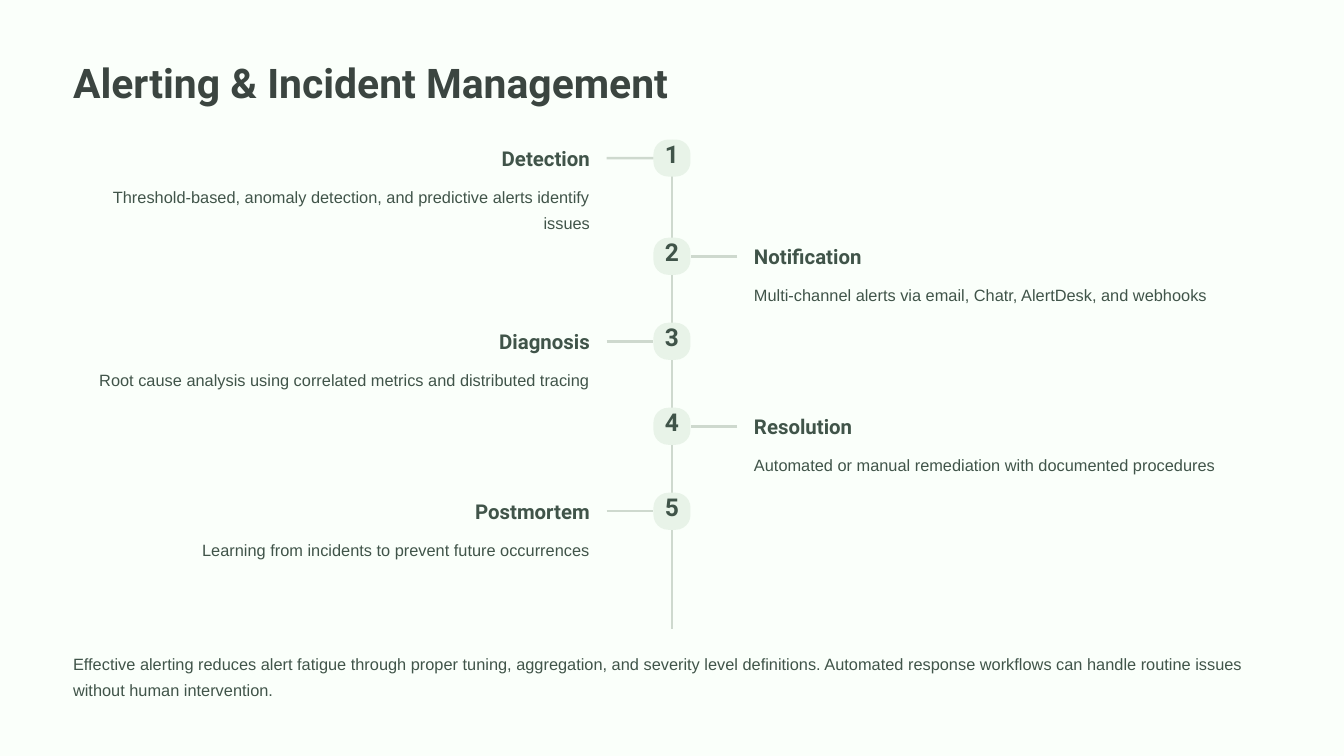
"""Build the alerting and incident management timeline slide."""
from dataclasses import dataclass

import pptx
import pptx.dml.color
import pptx.enum.shapes
import pptx.enum.text
import pptx.oxml.ns
import pptx.shapes.autoshape
import pptx.shapes.connector
import pptx.slide
import pptx.text.text
import pptx.util
from lxml import etree

Cm = pptx.util.Cm
Pt = pptx.util.Pt
RGBColor = pptx.dml.color.RGBColor
PP_ALIGN = pptx.enum.text.PP_ALIGN

BACKGROUND = RGBColor(0xFA, 0xFF, 0xFA)
TITLE_INK = RGBColor(0x3B, 0x45, 0x40)
INK = RGBColor(0x40, 0x54, 0x49)
LINE = RGBColor(0xCE, 0xD9, 0xCE)
BADGE = RGBColor(0xE8, 0xF3, 0xE8)

SLIDE_WIDTH = 40.64
CENTER = SLIDE_WIDTH / 2
MARGIN = 2.21
FIRST_TOP = 4.22
STEP = 2.57
WRAPPED_LINE_EXTRA = 0.4
SPINE_BOTTOM = 19.02
BADGE_SIZE = 1.12
BRANCH_REACH = 1.98
TEXT_GAP = 2.48
HEADING_WIDTH = 6.2
DESCRIPTION_WIDTH = 15.65
TEXT_LINE = 0.79


@dataclass(frozen=True)
class TextStyle:
    font: str
    size: float
    spacing: float
    color: RGBColor
    bold: bool = False


@dataclass(frozen=True)
class Stage:
    heading: str
    description: str
    lines: int = 1


TITLE = TextStyle("Roboto", 35, 43.5, TITLE_INK, True)
NUMBER = TextStyle("Roboto", 21, 21, INK, True)
HEADING = TextStyle("Roboto", 17.5, 21.5, INK, True)
BODY = TextStyle("Arial", 14, 22.5, INK)

STAGES = [
    Stage("Detection", "Threshold-based, anomaly detection, and predictive alerts identify issues", 2),
    Stage("Notification", "Multi-channel alerts via email, Chatr, AlertDesk, and webhooks"),
    Stage("Diagnosis", "Root cause analysis using correlated metrics and distributed tracing", 2),
    Stage("Resolution", "Automated or manual remediation with documented procedures"),
    Stage("Postmortem", "Learning from incidents to prevent future occurrences"),
]


def write(frame: pptx.text.text.TextFrame, text: str, style: TextStyle, align: PP_ALIGN) -> None:
    """Fill a text frame with one styled paragraph."""
    frame.margin_left = frame.margin_right = frame.margin_top = frame.margin_bottom = 0
    frame.vertical_anchor = pptx.enum.text.MSO_ANCHOR.TOP
    frame.word_wrap = True
    paragraph = frame.paragraphs[0]
    paragraph.text = text
    paragraph.alignment = align
    paragraph.line_spacing = Pt(style.spacing)
    paragraph.font.name = style.font
    paragraph.font.size = Pt(style.size)
    paragraph.font.bold = style.bold
    paragraph.font.color.rgb = style.color


def add_text(slide: pptx.slide.Slide, left: float, top: float, width: float, height: float,
             text: str, style: TextStyle, align: PP_ALIGN = PP_ALIGN.LEFT) -> None:
    """Add a text box measured in centimetres."""
    box = slide.shapes.add_textbox(Cm(left), Cm(top), Cm(width), Cm(height))
    write(box.text_frame, text, style, align)


def add_line(slide: pptx.slide.Slide, x1: float, y1: float,
             x2: float, y2: float) -> pptx.shapes.connector.Connector:
    """Add a straight timeline line."""
    line = slide.shapes.add_connector(
        pptx.enum.shapes.MSO_CONNECTOR.STRAIGHT, Cm(x1), Cm(y1), Cm(x2), Cm(y2))
    line.line.color.rgb = LINE
    line.line.width = Pt(2.1)
    properties = line._element.find(pptx.oxml.ns.qn("p:spPr"))
    etree.SubElement(properties, pptx.oxml.ns.qn("a:effectLst"))
    return line


def add_badge(slide: pptx.slide.Slide, top: float, number: int) -> pptx.shapes.autoshape.Shape:
    """Add a numbered badge centred on the spine."""
    badge = slide.shapes.add_shape(
        pptx.enum.shapes.MSO_SHAPE.ROUNDED_RECTANGLE,
        Cm(CENTER - BADGE_SIZE / 2), Cm(top), Cm(BADGE_SIZE), Cm(BADGE_SIZE))
    badge.adjustments[0] = 0.4
    badge.shadow.inherit = False
    badge.fill.solid()
    badge.fill.fore_color.rgb = BADGE
    badge.line.fill.background()
    write(badge.text_frame, str(number), NUMBER, PP_ALIGN.CENTER)
    return badge


def add_stage(slide: pptx.slide.Slide, index: int, stage: Stage) -> pptx.shapes.autoshape.Shape:
    """Add one stage, alternating left and right, and return its badge."""
    top = FIRST_TOP + index * STEP + (WRAPPED_LINE_EXTRA if index else 0)
    on_left = index % 2 == 0
    side = -1 if on_left else 1
    align = PP_ALIGN.RIGHT if on_left else PP_ALIGN.LEFT
    badge = add_badge(slide, top, index + 1)
    middle = top + BADGE_SIZE / 2
    branch = add_line(slide, CENTER + side * BRANCH_REACH, middle, CENTER, middle)
    branch.end_connect(badge, 1 if on_left else 3)
    edge = CENTER + side * TEXT_GAP
    for text, style, offset, width, lines in (
        (stage.heading, HEADING, 0.18, HEADING_WIDTH, 1),
        (stage.description, BODY, 1.24, DESCRIPTION_WIDTH, stage.lines),
    ):
        left = edge - width if on_left else edge
        add_text(slide, left, top + offset, width, lines * TEXT_LINE, text, style, align)
    return badge


def main() -> None:
    """Compose and save the slide."""
    presentation = pptx.Presentation()
    presentation.slide_width = Cm(SLIDE_WIDTH)
    presentation.slide_height = Cm(22.86)
    slide = presentation.slides.add_slide(presentation.slide_layouts[6])
    slide.background.fill.solid()
    slide.background.fill.fore_color.rgb = BACKGROUND

    add_text(slide, MARGIN, 1.68, 20.55, 1.55, "Alerting & Incident Management", TITLE)
    spine = add_line(slide, CENTER, FIRST_TOP, CENTER, SPINE_BOTTOM)
    badges = [add_stage(slide, index, stage) for index, stage in enumerate(STAGES)]
    spine.begin_connect(badges[0], 0)
    add_text(slide, MARGIN, 19.58, SLIDE_WIDTH - 2 * MARGIN, 2 * TEXT_LINE,
             "Effective alerting reduces alert fatigue through proper tuning, aggregation, "
             "and severity level definitions. Automated response workflows can handle "
             "routine issues without human intervention.", BODY)
    presentation.save("out.pptx")


if __name__ == "__main__":
    main()
